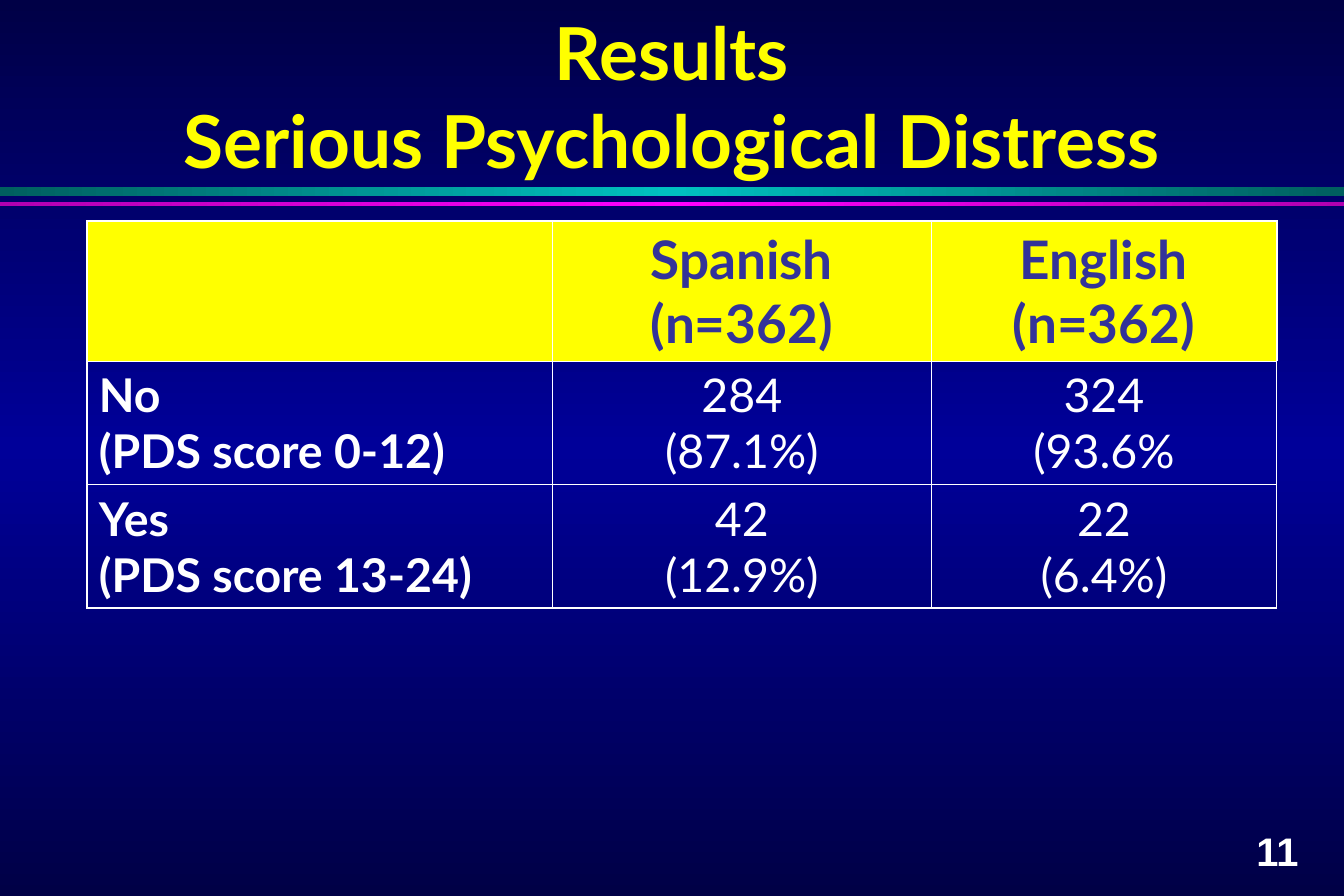
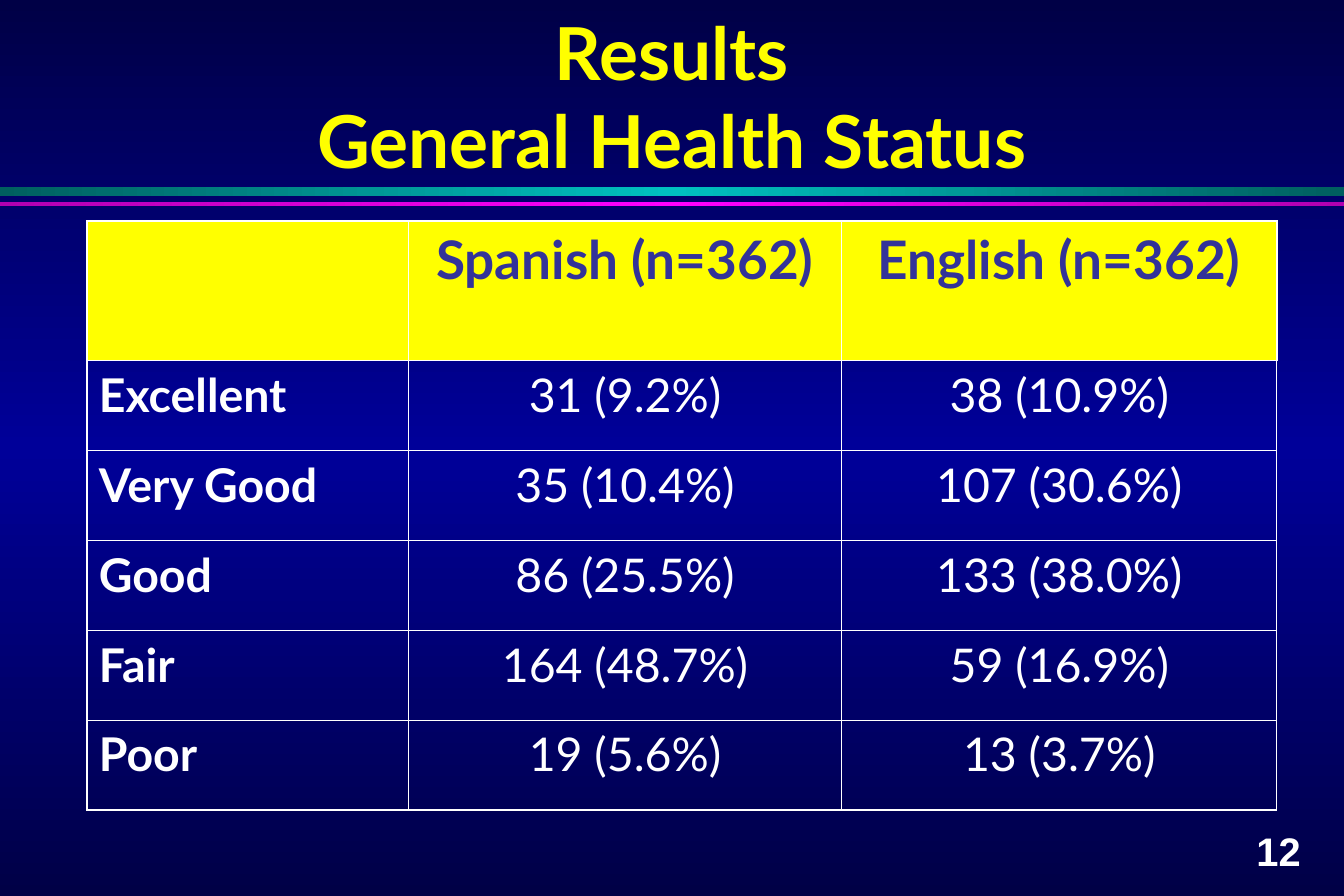
from lxml.etree import SubElement
from pptx import Presentation
from pptx.dml.color import RGBColor
from pptx.enum.shapes import MSO_SHAPE
from pptx.enum.text import MSO_ANCHOR, MSO_AUTO_SIZE, PP_ALIGN
from pptx.oxml.ns import qn
from pptx.util import Cm, Pt

NAVY = RGBColor(0x00, 0x00, 0x46)
BLUE = RGBColor(0x00, 0x00, 0x99)
DARK_TEAL = RGBColor(0x00, 0x5F, 0x5F)
TEAL = RGBColor(0x00, 0xC0, 0xC0)
PURPLE = RGBColor(0xB1, 0x00, 0xB1)
MAGENTA = RGBColor(0xFF, 0x00, 0xFF)
YELLOW = RGBColor(0xFF, 0xFF, 0x00)
INDIGO = RGBColor(0x33, 0x33, 0x99)
WHITE = RGBColor(0xFF, 0xFF, 0xFF)

SLIDE_WIDTH, SLIDE_HEIGHT = Cm(28.58), Cm(19.05)
HEADER_HEIGHT = Cm(2.97)
THIN, THICK = Pt(0.45), Pt(1.08)

# Top, height, edge colour and middle colour of the bands under the title
BANDS = [
    (Cm(3.97), Cm(0.2), DARK_TEAL, TEAL),
    (Cm(4.29), Cm(0.1), PURPLE, MAGENTA),
]


def write_text(frame, text, *, size, color, font="Lato", bold=False, align=PP_ALIGN.LEFT):
    """Write one paragraph per line of text; a vertical tab breaks a line."""
    frame.word_wrap = True
    for index, line in enumerate(text.split("\n")):
        paragraph = frame.add_paragraph() if index else frame.paragraphs[0]
        paragraph.text = line
        paragraph.alignment = align
        for run in paragraph.runs:
            run.font.name = font
            run.font.size = Pt(size)
            run.font.bold = bold
            run.font.color.rgb = color


def fill_gradient(fill, element, edge, middle, angle):
    """Fill with a gradient that runs from edge to middle and back."""
    fill.gradient()
    fill.gradient_angle = angle
    stops = element.xpath(".//a:gsLst")[0]
    stops.clear()
    for position, color in ((0, edge), (50000, middle), (100000, edge)):
        stop = SubElement(stops, qn("a:gs"), pos=str(position))
        SubElement(stop, qn("a:srgbClr"), val=str(color))


def set_borders(cell, **widths):
    """Draw white cell borders; the sides are L, R, T and B, in that order."""
    properties = cell._tc.get_or_add_tcPr()
    for side, width in widths.items():
        line = SubElement(properties, qn(f"a:ln{side}"), w=str(width))
        fill = SubElement(line, qn("a:solidFill"))
        SubElement(fill, qn("a:srgbClr"), val=str(WHITE))


def add_bands(slide, left, width):
    for top, height, edge, middle in BANDS:
        band = slide.shapes.add_shape(MSO_SHAPE.RECTANGLE, left, top, width, height)
        band.shadow.inherit = False
        band.line.fill.background()
        fill_gradient(band.fill, band.element, edge, middle, 0)


def place_title(slide, text, left, top, width, height):
    title = slide.shapes.title
    title.left, title.top, title.width, title.height = left, top, width, height
    frame = title.text_frame
    frame.auto_size = MSO_AUTO_SIZE.NONE
    frame.vertical_anchor = MSO_ANCHOR.BOTTOM
    write_text(frame, text, size=44, color=YELLOW, bold=True, align=PP_ALIGN.CENTER)


def add_slide_number(slide, number, left, top, width, height):
    box = slide.shapes.add_textbox(left, top, width, height)
    write_text(box.text_frame, str(number), size=24, color=WHITE, font="Arial", bold=True)


def add_results_table(slide, rows, column_widths, left, top, height):
    """Add a table with a fixed header row and equal rows below it."""
    last_row, last_column = len(rows) - 1, len(column_widths) - 1
    table = slide.shapes.add_table(
        len(rows), len(column_widths), left, top, sum(column_widths), height
    ).table
    table.first_row = table.horz_banding = False
    for column, width in zip(table.columns, column_widths):
        column.width = width
    for row_index, values in enumerate(rows):
        header = row_index == 0
        table.rows[row_index].height = (
            HEADER_HEIGHT if header else (height - HEADER_HEIGHT) // last_row
        )
        for column_index, value in enumerate(values):
            cell = table.cell(row_index, column_index)
            label = column_index == 0
            set_borders(
                cell,
                L=THICK if label else THIN,
                R=THICK if header and column_index == last_column else THIN,
                T=THICK if header else THIN,
                B=THICK if row_index == last_row else THIN,
            )
            if header:
                cell.fill.solid()
                cell.fill.fore_color.rgb = YELLOW
            else:
                cell.fill.background()
            write_text(
                cell.text_frame,
                value,
                size=32 if header else 28,
                color=INDIGO if header else WHITE,
                bold=header or label,
                align=PP_ALIGN.LEFT if label else PP_ALIGN.CENTER,
            )


def add_results_slide(presentation, number, topic, rows, column_widths, table_height):
    slide = presentation.slides.add_slide(presentation.slide_layouts.get_by_name("Title Only"))
    add_bands(slide, 0, SLIDE_WIDTH)
    place_title(slide, f"Results\v{topic}", 0, Cm(0.84), SLIDE_WIDTH, Cm(3.18))
    add_results_table(slide, rows, column_widths, Cm(1.85), Cm(4.7), table_height)
    add_slide_number(slide, number, Cm(26.47), Cm(17.45), Cm(1.5), Cm(1.27))


def main():
    presentation = Presentation()
    presentation.slide_width, presentation.slide_height = SLIDE_WIDTH, SLIDE_HEIGHT

    # Shared background
    master = presentation.slide_master
    background_fill = master.background.fill
    fill_gradient(background_fill, master.element.cSld.bg, NAVY, BLUE, 90)

    header = ("", "Spanish (n=362)", "English (n=362)")
    distress = [
        header,
        ("No\n(PDS score 0-12)", "284\n(87.1%)", "324\n(93.6%"),
        ("Yes\n(PDS score 13-24)", "42\n(12.9%)", "22\n(6.4%)"),
    ]
    health = [
        header,
        ("Excellent", "31 (9.2%)", "38 (10.9%)"),
        ("Very Good", "35 (10.4%)", "107 (30.6%)"),
        ("Good", "86 (25.5%)", "133 (38.0%)"),
        ("Fair", "164 (48.7%)", "59 (16.9%)"),
        ("Poor", "19 (5.6%)", "13 (3.7%)"),
    ]
    add_results_slide(
        presentation, 11, "Serious Psychological Distress", distress,
        (Cm(9.9), Cm(8.05), Cm(7.35)), Cm(8.22),
    )
    add_results_slide(
        presentation, 12, "General Health Status", health,
        (Cm(6.83), Cm(9.22), Cm(9.25)), Cm(12.52),
    )
    presentation.save("out.pptx")


if __name__ == "__main__":
    main()
